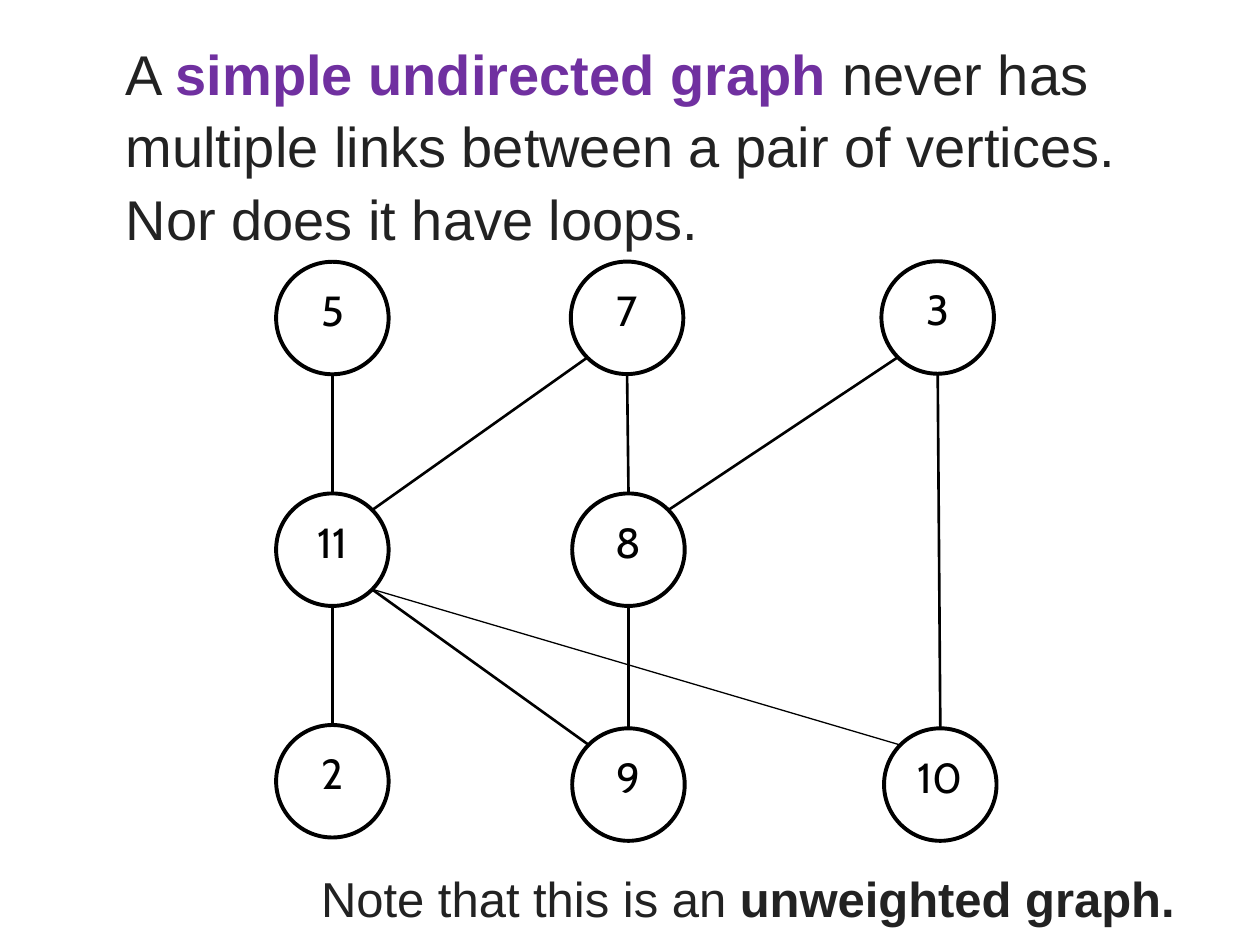
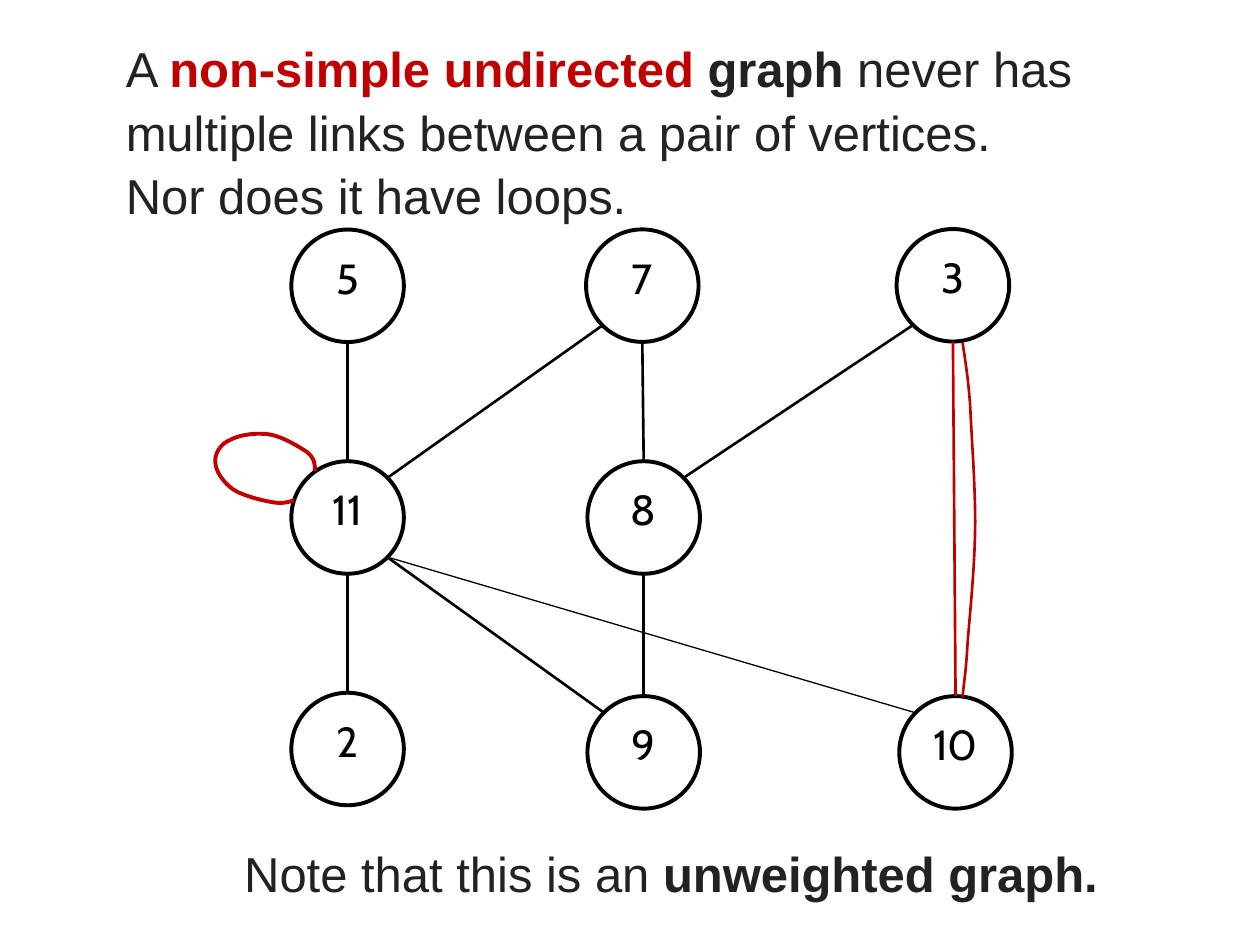
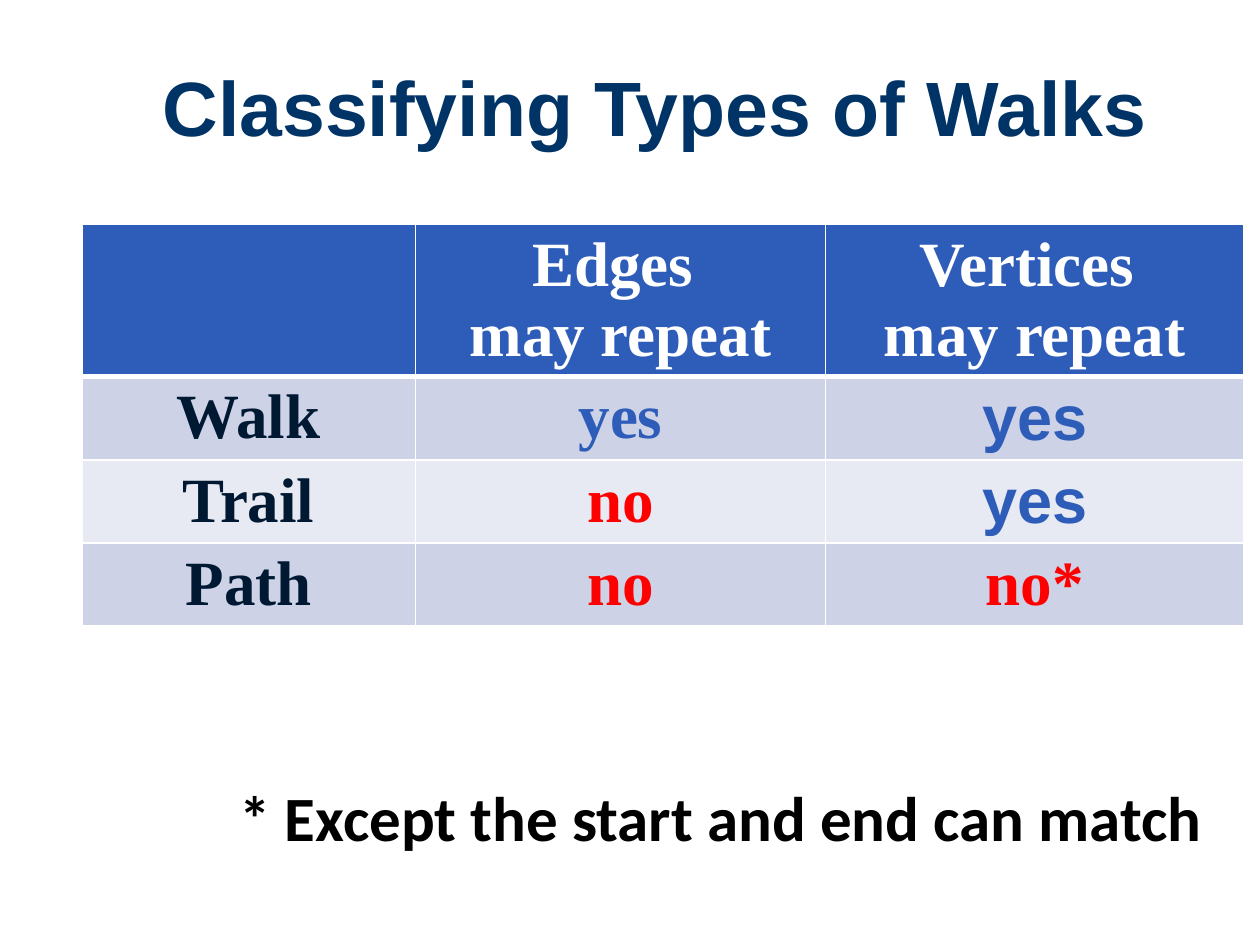
from lxml.etree import SubElement
from pptx import Presentation
from pptx.dml.color import RGBColor as Color
from pptx.enum.shapes import MSO_CONNECTOR as Connector, MSO_SHAPE as Preset
from pptx.enum.text import MSO_ANCHOR as Anchor, MSO_AUTO_SIZE as AutoSize, PP_ALIGN as Align
from pptx.oxml.ns import qn
from pptx.util import Pt

COLORS = {
    "white": "FFFFFF", "black": "000000", "body": "222222", "simple": "7030A0",
    "warning": "C00000", "title": "003366", "blue": "2D5CB9", "label": "001933",
    "no": "FF0000", "band": "CDD2E6", "light_band": "E8EAF3",
}
COLORS = {name: Color.from_string(value) for name, value in COLORS.items()}
BODY = {"name": "Arial", "size": Pt(28), "color": "body", "bold": False}
TITLE = {"name": "Arial", "size": Pt(44), "color": "title", "bold": True}
NODE = {"name": "Cabin", "size": Pt(24), "color": "black", "bold": False}
CELL = {"name": "Times New Roman", "size": Pt(36), "color": "label", "bold": True}
FOOTNOTE = {"name": "Calibri", "size": Pt(36), "color": "black", "bold": True}


def write_runs(paragraph, runs, base):
    for text, changes in runs:
        for number, line in enumerate(text.split("\n")):
            if number:
                paragraph.add_line_break()
            run = paragraph.add_run()
            run.text = line
            for key, value in {**base, **changes}.items():
                if key == "color":
                    run.font.color.rgb = COLORS[value]
                else:
                    setattr(run.font, key, value)


def add_text(slide, box, paragraphs, base, align=Align.LEFT, spacing=1.0, grow=True, anchor=Anchor.TOP):
    frame = slide.shapes.add_textbox(*map(Pt, box)).text_frame
    frame.word_wrap = True
    frame.auto_size = AutoSize.SHAPE_TO_FIT_TEXT if grow else AutoSize.NONE
    frame.vertical_anchor = anchor
    for number, runs in enumerate(paragraphs):
        paragraph = frame.add_paragraph() if number else frame.paragraphs[0]
        paragraph.alignment = align
        paragraph.line_spacing = spacing
        write_runs(paragraph, runs, base)


presentation = Presentation()
presentation.slide_width, presentation.slide_height = Pt(720), Pt(540)
blank = presentation.slide_layouts[6]

DIAMETER = 64.3
NODES = {
    "5": (157.8, 149.6), "7": (326.2, 149.5), "3": (503.7, 149.3),
    "11": (157.8, 282), "2": (157.8, 414.3),
    "8": (327, 282), "9": (327, 416.2), "10": (505.2, 416.2),
}
SITES = {
    "top": (0.5, 0), "bottom": (0.5, 1), "top left": (0.15, 0.15), "top right": (0.85, 0.15),
    "bottom left": (0.15, 0.85), "bottom right": (0.85, 0.85),
}
EDGES = [
    ("5", "bottom", "11", "top", 1.5),
    ("7", "bottom left", "11", "top right", 1.5),
    ("7", "bottom", "8", "top", 1.5),
    ("11", "bottom", "2", "top", 1.5),
    ("11", "bottom right", "9", "top left", 1.5),
    ("8", "bottom", "9", "top", 1.5),
    ("3", "bottom left", "8", "top right", 1.5),
    ("3", "bottom", "10", "top", 1.5),
    ("11", "bottom right", "10", "top left", 0.75),
]
PARALLEL_EDGE = [
    (550.1, 195.8), (551.5, 205.2), (553, 213.8), (554.4, 231.1),
    (555.1, 248.4), (557.3, 275.8), (557.3, 298.1),
    (557.3, 321.1), (554.4, 349.9), (553, 366.5),
    (552.2, 383), (550.8, 390.2), (550.1, 398.2),
]
SELF_LOOP = [
    (180, 269.3), (180, 265.7), (180, 262.1), (175.7, 258.5),
    (171.4, 255.6), (162, 249.8), (154.8, 248.4),
    (147.6, 247), (136.8, 248.4), (131.8, 251.3),
    (126, 253.4), (122.4, 259.9), (123.1, 264.2),
    (123.1, 269.3), (128.2, 276.5), (133.9, 280.1),
    (139.7, 283.7), (151.9, 286.6), (157.7, 287.3),
    (163.4, 288), (167, 285.8), (168, 286.4),
]
MULTIPLE = " never has multiple links between a pair of vertices."
GRAPHS = [
    {
        "size": Pt(32), "height": 123.8, "offset": (0, 0), "note": (176.4, 490.3),
        "intro": [("A ", {}), ("simple undirected graph", {"color": "simple", "bold": True}), (MULTIPLE, {})],
        "double_edge": "black", "curves": [],
    },
    {
        "size": Pt(28), "height": 108.7, "offset": (8.7, -18.4), "note": (132.5, 475.9),
        "intro": [("A ", {}), ("non-simple undirected", {"color": "warning", "bold": True}),
                  (" graph", {"bold": True}), (MULTIPLE, {})],
        "double_edge": "warning", "curves": [(PARALLEL_EDGE, 1.5), (SELF_LOOP, 2.25)],
    },
]

for graph in GRAPHS:
    slide = presentation.slides.add_slide(blank)
    add_text(slide, (64.8, 15.8, 640, graph["height"]),
             [graph["intro"], [("Nor does it have loops.", {})]],
             {**BODY, "size": graph["size"]}, spacing=1.08)

    group = slide.shapes.add_group_shape()
    shift_x, shift_y = graph["offset"]
    places = {label: (x + shift_x, y + shift_y) for label, (x, y) in NODES.items()}
    for label, (x, y) in places.items():
        node = group.shapes.add_shape(Preset.OVAL, Pt(x), Pt(y), Pt(DIAMETER), Pt(DIAMETER))
        node.shadow.inherit = False
        node.fill.solid()
        node.fill.fore_color.rgb = COLORS["white"]
        node.line.color.rgb = COLORS["black"]
        node.line.width = Pt(2.25)
        node.text_frame.vertical_anchor = Anchor.TOP
        paragraph = node.text_frame.paragraphs[0]
        paragraph.alignment = Align.CENTER
        write_runs(paragraph, [(label, {})], NODE)

    for start, start_site, end, end_site, width in EDGES:
        ends = []
        for label, site in ((start, start_site), (end, end_site)):
            ends += [Pt(place + DIAMETER * share) for place, share in zip(places[label], SITES[site])]
        edge = group.shapes.add_connector(Connector.STRAIGHT, *ends)
        edge.line.color.rgb = COLORS[graph["double_edge"] if (start, end) == ("3", "10") else "black"]
        edge.line.width = Pt(width)
        SubElement(edge._element.spPr, qn("a:effectLst"))

    for points, width in graph["curves"]:
        outline = []
        for first in range(0, len(points) - 1, 3):
            corners = points[first:first + 4]
            for step in range(1, 9):
                t = step / 8
                weights = ((1 - t) ** 3, 3 * t * (1 - t) ** 2, 3 * t ** 2 * (1 - t), t ** 3)
                outline.append(tuple(Pt(sum(w * corner[axis] for w, corner in zip(weights, corners)))
                                     for axis in (0, 1)))
        builder = group.shapes.build_freeform(*map(Pt, points[0]))
        builder.add_line_segments(outline, close=False)
        curve = builder.convert_to_shape()
        curve.shadow.inherit = False
        curve.fill.background()
        curve.line.color.rgb = COLORS["warning"]
        curve.line.width = Pt(width)

    add_text(slide, (*graph["note"], 516.2, 41),
             [[("Note that this is an ", {}), ("unweighted graph.", {"bold": True})]], BODY, spacing=1.08)

slide = presentation.slides.add_slide(blank)
add_text(slide, (68.4, 15.1, 612, 90), [[("Classifying Types of Walks", {})]], TITLE,
         align=Align.CENTER, grow=False, anchor=Anchor.MIDDLE)

HEADER = {"color": "white"}
YES = {"color": "blue"}
ARIAL_YES = {"color": "blue", "name": "Arial"}
NO = {"color": "no"}
ROWS = [
    ("blue", 87, [("", {}), ("Edges \nmay repeat", HEADER), ("Vertices \nmay repeat", HEADER)]),
    ("band", 47.5, [("Walk", {}), ("yes", YES), ("yes", ARIAL_YES)]),
    ("light_band", 47.5, [("Trail", {}), ("no", NO), ("yes", ARIAL_YES)]),
    ("band", 47.5, [("Path", {}), ("no", NO), ("no*", NO)]),
]
COLUMNS = [190.6, 234.4, 239]
table = slide.shapes.add_table(len(ROWS), len(COLUMNS), Pt(46.8), Pt(128.2), Pt(664), Pt(229.5)).table
for column, width in zip(table.columns, COLUMNS):
    column.width = Pt(width)
for row_number, (fill, height, contents) in enumerate(ROWS):
    table.rows[row_number].height = Pt(height)
    for column_number, content in enumerate(contents):
        cell = table.cell(row_number, column_number)
        properties = cell._tc.get_or_add_tcPr()
        for side in "LRTB":
            thick = (row_number, side) in ((0, "B"), (1, "T"))
            border = SubElement(properties, qn(f"a:ln{side}"), w=str(Pt(3 if thick else 1)))
            SubElement(SubElement(border, qn("a:solidFill")), qn("a:srgbClr"), val=str(COLORS["white"]))
        cell.fill.solid()
        cell.fill.fore_color.rgb = COLORS[fill]
        if content[0]:
            paragraph = cell.text_frame.paragraphs[0]
            paragraph.alignment = Align.CENTER
            write_runs(paragraph, [content], CELL)

add_text(slide, (63.4, 441.4, 630.7, 51), [[("* Except the start and end can match", {})]],
         FOOTNOTE, align=Align.RIGHT)

presentation.save("out.pptx")
